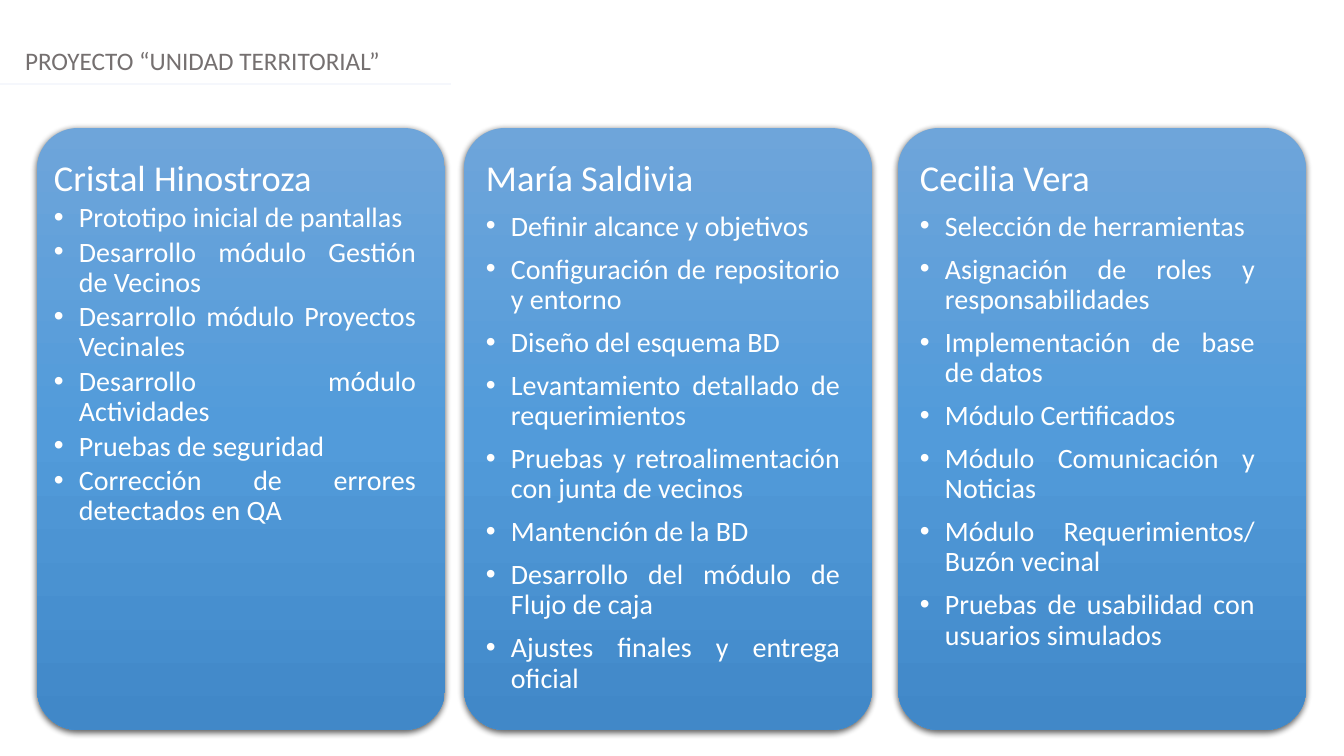
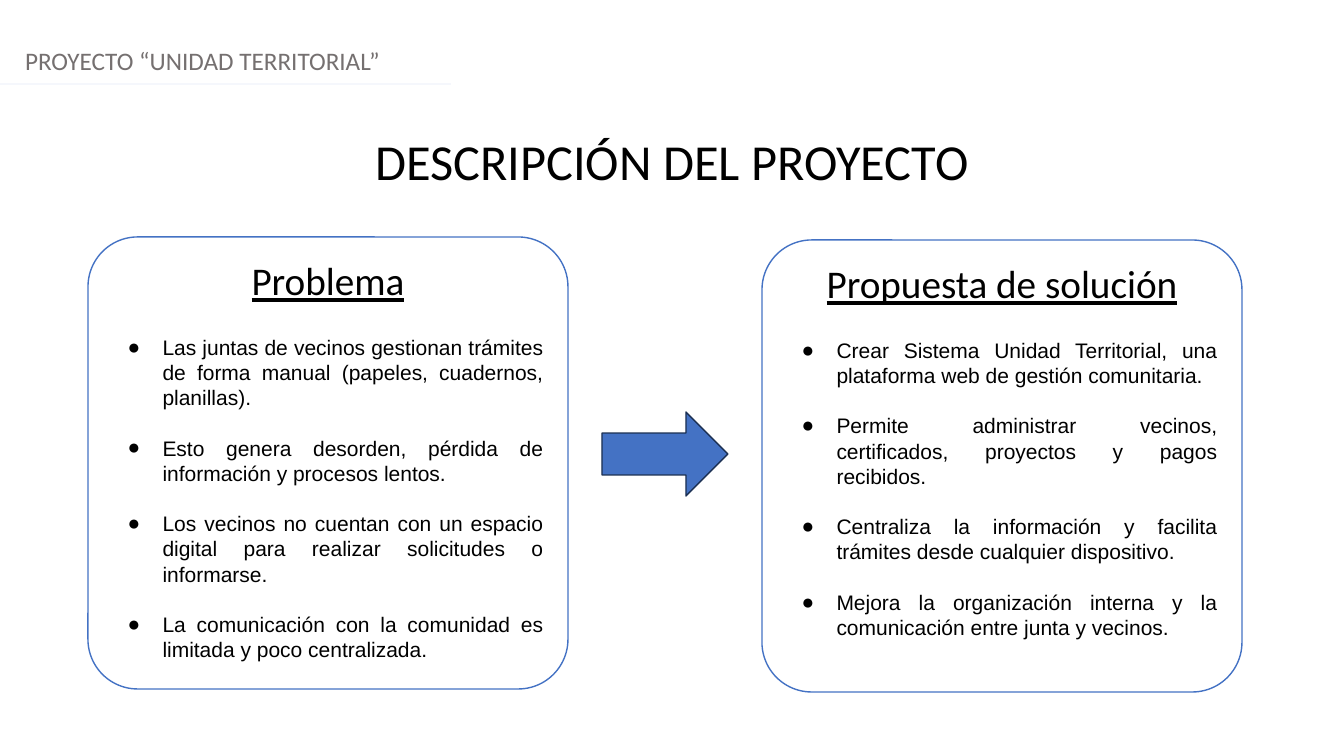
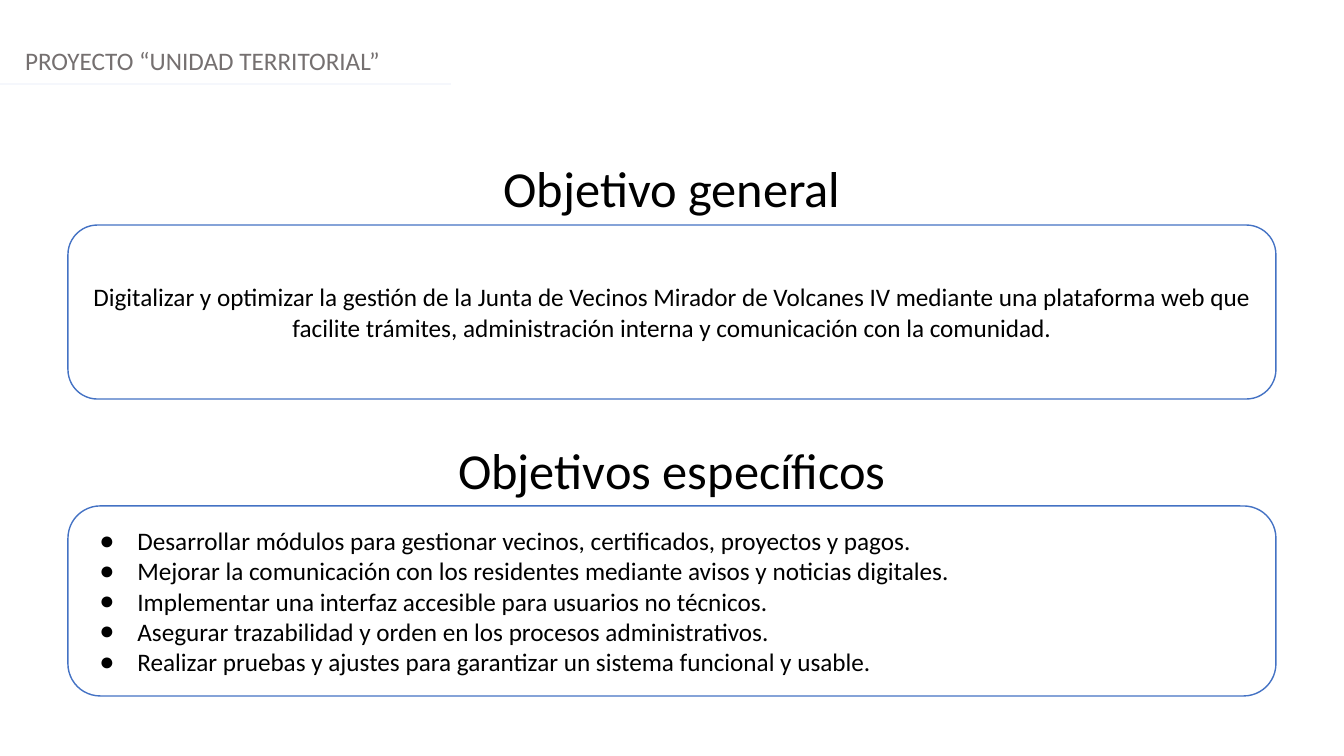
from copy import deepcopy

from lxml.etree import SubElement
from pptx import Presentation
from pptx.dml.color import RGBColor
from pptx.enum.shapes import MSO_CONNECTOR, MSO_SHAPE
from pptx.enum.text import MSO_ANCHOR, PP_ALIGN
from pptx.oxml.ns import qn
from pptx.util import Pt

COLORS = {
    "white": "FFFFFF", "black": "000000", "header": "757070", "rule": "F5F7FC",
    "blue": "4472C4", "navy": "1C3052",
}
CARD_GRADIENT = [(0, "6EA5DA"), (0.5, "529BDA"), (1, "4188C8")]
PX_PER_INCH = 100.8
SLIDE_W, SLIDE_H = 1344, 756
BOX_INSETS = (10, 5)

HEADER = "PROYECTO “UNIDAD TERRITORIAL”"

# Each member: name, card left, text left, text width, space before a task (pt), tasks
MEMBERS = [
    ("Cristal Hinostroza", 37, 43, 384, 3, [
        "Prototipo inicial de pantallas",
        "Desarrollo módulo Gestión de Vecinos",
        "Desarrollo módulo Proyectos Vecinales",
        "Desarrollo módulo Actividades",
        "Pruebas de seguridad",
        "Corrección de errores detectados en QA",
    ]),
    ("María Saldivia", 464, 475, 376, 9.1, [
        "Definir alcance y objetivos",
        "Configuración de repositorio y entorno",
        "Diseño del esquema BD",
        "Levantamiento detallado de requerimientos",
        "Pruebas y retroalimentación con junta de vecinos",
        "Mantención de la BD",
        "Desarrollo del módulo de Flujo de caja",
        "Ajustes finales y entrega oficial",
    ]),
    ("Cecilia Vera", 898, 909, 357, 9.1, [
        "Selección de herramientas",
        "Asignación de roles y responsabilidades",
        "Implementación de base de datos",
        "Módulo Certificados",
        "Módulo Comunicación y Noticias",
        "Módulo Requerimientos/ Buzón vecinal",
        "Pruebas de usabilidad con usuarios simulados",
    ]),
]

DESCRIPTION_TITLE = "DESCRIPCIÓN DEL PROYECTO"
# Each panel: heading, left, top, points
PANELS = [
    ("Problema", 88, 237, [
        "Las juntas de vecinos gestionan trámites de forma manual (papeles, cuadernos, planillas).",
        "Esto genera desorden, pérdida de información y procesos lentos.",
        "Los vecinos no cuentan con un espacio digital para realizar solicitudes o informarse.",
        "La comunicación con la comunidad es limitada y poco centralizada.",
    ]),
    ("Propuesta de solución", 762, 240, [
        "Crear Sistema Unidad Territorial, una plataforma web de gestión comunitaria.",
        "Permite administrar vecinos, certificados, proyectos y pagos recibidos.",
        "Centraliza la información y facilita trámites desde cualquier dispositivo.",
        "Mejora la organización interna y la comunicación entre junta y vecinos.",
    ]),
]

GENERAL_TITLE = "Objetivo general"
GENERAL_GOAL = (
    "Digitalizar y optimizar la gestión de la Junta de Vecinos Mirador de Volcanes IV "
    "mediante una plataforma web que facilite trámites, administración interna y "
    "comunicación con la comunidad."
)
SPECIFIC_TITLE = "Objetivos específicos"
SPECIFIC_GOALS = [
    "Desarrollar módulos para gestionar vecinos, certificados, proyectos y pagos.",
    "Mejorar la comunicación con los residentes mediante avisos y noticias digitales.",
    "Implementar una interfaz accesible para usuarios no técnicos.",
    "Asegurar trazabilidad y orden en los procesos administrativos.",
    "Realizar pruebas y ajustes para garantizar un sistema funcional y usable.",
]


def px(length):
    return round(length * 914400 / PX_PER_INCH)


def rgb(name):
    return RGBColor.from_string(COLORS[name])


def add_bullet(paragraph, mark, color, indent, hanging):
    props = paragraph._p.get_or_add_pPr()
    props.set("marL", str(px(indent)))
    props.set("indent", str(-px(hanging)))
    bullet_color = SubElement(props, qn("a:buClr"))
    SubElement(bullet_color, qn("a:srgbClr"), val=COLORS[color])
    SubElement(props, qn("a:buFont"), typeface="Arial")
    SubElement(props, qn("a:buChar"), char=mark)


def write(frame, lines, size, color="black", font="Calibri", align=PP_ALIGN.LEFT,
          spacing=None, before=0, bullet=None):
    """Add one paragraph per line, after any text already there."""
    for line in lines:
        paragraph = frame.add_paragraph() if frame.text else frame.paragraphs[0]
        paragraph.text = line
        paragraph.alignment = align
        paragraph.space_before = Pt(before)
        if spacing:
            paragraph.line_spacing = spacing
        if bullet:
            add_bullet(paragraph, bullet[0], color, *bullet[1:])
        style = paragraph.runs[0].font
        style.name, style.size = font, Pt(size)
        style.color.rgb = rgb(color)


def set_frame(frame, insets, anchor=MSO_ANCHOR.TOP):
    frame.word_wrap = True
    frame.vertical_anchor = anchor
    frame.margin_left = frame.margin_right = px(insets[0])
    frame.margin_top = frame.margin_bottom = px(insets[1])
    return frame


def add_text_frame(slide, left, top, width, height, insets=BOX_INSETS):
    box = slide.shapes.add_textbox(px(left), px(top), px(width), px(height))
    return set_frame(box.text_frame, insets)


def add_plain_shape(slide, kind, left, top, width, height, fill, line):
    shape = slide.shapes.add_shape(kind, px(left), px(top), px(width), px(height))
    shape.shadow.inherit = False
    shape.fill.solid()
    shape.fill.fore_color.rgb = rgb(fill)
    shape.line.color.rgb = rgb(line)
    shape.line.width = Pt(1)
    return shape


def add_outlined_box(slide, left, top, width, height, corner, anchor):
    box = add_plain_shape(slide, MSO_SHAPE.ROUNDED_RECTANGLE, left, top, width, height,
                          "white", "blue")
    box.adjustments[0] = corner
    return set_frame(box.text_frame, BOX_INSETS, anchor)


def add_title(slide, title, top):
    write(add_text_frame(slide, 0, top, SLIDE_W, 71), [title], 36, align=PP_ALIGN.CENTER)


def add_card(slide, left, top, width, height):
    """Add a rounded card with a vertical gradient and a soft drop shadow."""
    card = slide.shapes.add_shape(MSO_SHAPE.ROUNDED_RECTANGLE,
                                  px(left), px(top), px(width), px(height))
    card.adjustments[0] = 0.1
    card.line.fill.background()
    card.fill.gradient()
    card.fill.gradient_angle = 270
    stop_list = card._element.spPr.find(".//" + qn("a:gsLst"))
    stop_list.append(deepcopy(stop_list[0]))
    for stop, (position, color) in zip(card.fill.gradient_stops, CARD_GRADIENT):
        stop.position = position
        stop.color.rgb = RGBColor.from_string(color)
    card.shadow.inherit = False
    effects = card._element.spPr.find(qn("a:effectLst"))
    shadow = SubElement(effects, qn("a:outerShdw"), blurRad=str(Pt(4.5)),
                        dist=str(Pt(1.5)), dir="5400000", rotWithShape="0")
    shade = SubElement(shadow, qn("a:srgbClr"), val=COLORS["black"])
    SubElement(shade, qn("a:alpha"), val="63000")


def add_slide(deck):
    """Add a blank slide with the project header and its rule."""
    slide = deck.slides.add_slide(deck.slide_layouts[6])
    write(add_text_frame(slide, 15, 40, SLIDE_W - 15, 40), [HEADER], 18, "header")
    rule = slide.shapes.add_connector(MSO_CONNECTOR.STRAIGHT, 0, px(84), px(451), px(84))
    rule.line.color.rgb = rgb("rule")
    rule.line.width = Pt(1.25)
    SubElement(rule._element.spPr, qn("a:effectLst"))
    return slide


def build_team(slide):
    for name, card_left, text_left, text_width, before, tasks in MEMBERS:
        add_card(slide, card_left, 128, 408, 602)
        frame = add_text_frame(slide, text_left, 138, text_width, 571, (11, 11))
        write(frame, [name], 26, "white", spacing=1.15)
        write(frame, tasks, 20, "white", align=PP_ALIGN.JUSTIFY, spacing=0.9,
              before=before, bullet=("•", 25, 25))


def build_description(slide):
    add_title(slide, DESCRIPTION_TITLE, 125)
    for heading, left, top, points in PANELS:
        frame = add_outlined_box(slide, left, top, 480, 452, 0.11, MSO_ANCHOR.TOP)
        write(frame, [heading], 28, align=PP_ALIGN.CENTER)
        frame.paragraphs[0].runs[0].font.underline = True
        frame.paragraphs[0].space_after = Pt(4)
        write(frame, points, 15, font="Arial", align=PP_ALIGN.JUSTIFY, spacing=Pt(18),
              before=18, bullet=("●", 50, 35))
    add_plain_shape(slide, MSO_SHAPE.RIGHT_ARROW, 602, 412, 126, 84, "blue", "navy")


def build_goals(slide):
    add_title(slide, GENERAL_TITLE, 152)
    general = add_outlined_box(slide, 68, 225, 1208, 174, 0.17, MSO_ANCHOR.MIDDLE)
    write(general, [GENERAL_GOAL], 18, align=PP_ALIGN.CENTER)
    add_title(slide, SPECIFIC_TITLE, 434)
    specific = add_outlined_box(slide, 68, 506, 1208, 190, 0.17, MSO_ANCHOR.MIDDLE)
    write(specific, SPECIFIC_GOALS, 18, bullet=("●", 50, 38))


def main():
    deck = Presentation()
    deck.slide_width, deck.slide_height = px(SLIDE_W), px(SLIDE_H)
    for build in (build_team, build_description, build_goals):
        build(add_slide(deck))
    deck.save("out.pptx")


if __name__ == "__main__":
    main()
